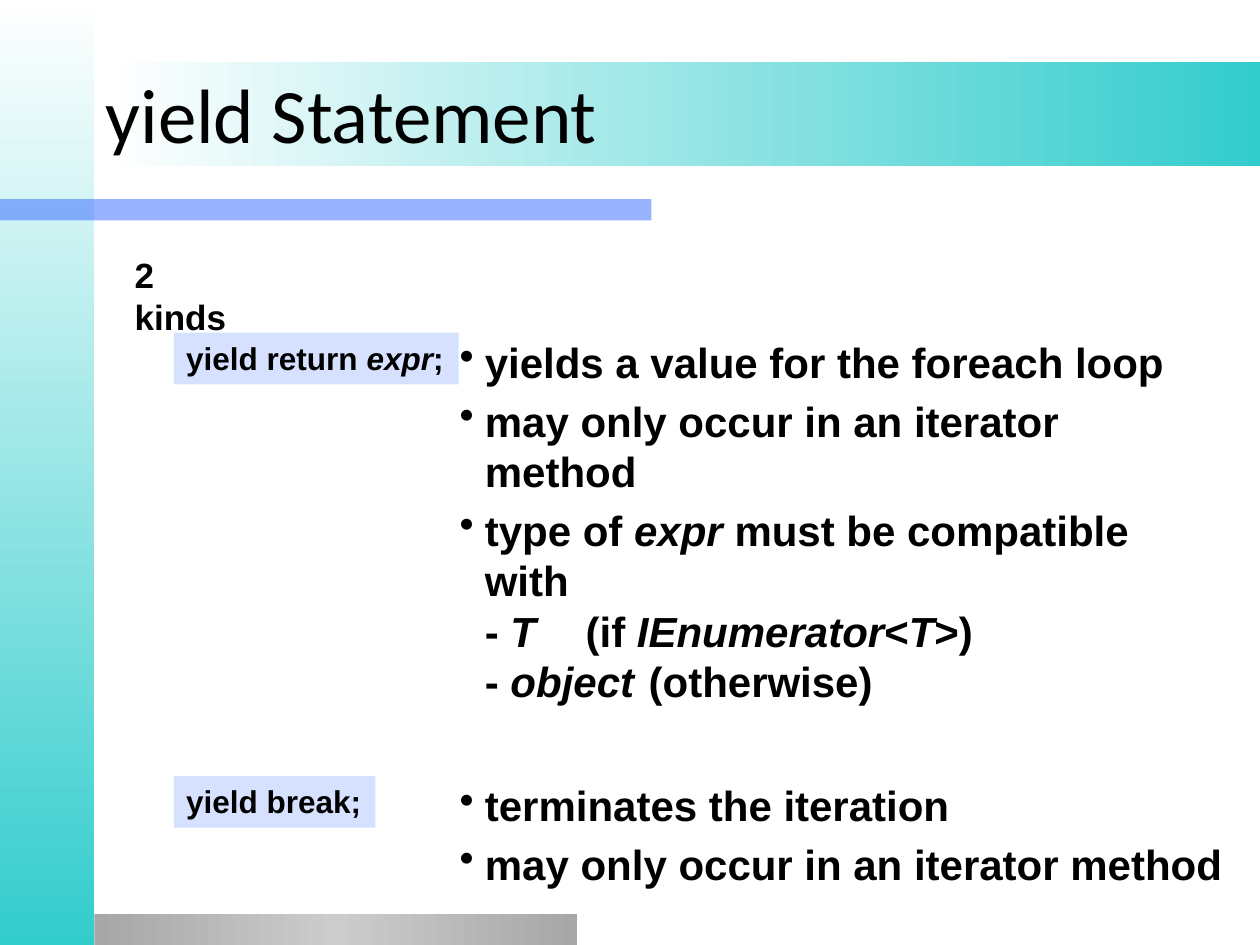
import pptx
import pptx.dml.color
import pptx.enum.shapes
import pptx.enum.text
import pptx.oxml
import pptx.oxml.ns
import pptx.util
from lxml import etree

Inches = pptx.util.Inches
CODE_LEFT = 1.38
NOTES_LEFT = 3.55
AQUA_FADE = [(0, "FFFFFF"), (100, "33CCCC")]
GREY_SHEEN = [(0, "A7A7A7"), (50, "CCCCCC"), (100, "A7A7A7")]


def rgb(color):
    return pptx.dml.color.RGBColor.from_string(color)


def add_bar(slide, left, top, width, height, color=None):
    bar = slide.shapes.add_shape(
        pptx.enum.shapes.MSO_SHAPE.RECTANGLE,
        Inches(left), Inches(top), Inches(width), Inches(height))
    bar.shadow.inherit = False
    bar.line.fill.background()
    if color:
        bar.fill.solid()
        bar.fill.fore_color.rgb = rgb(color)
    return bar


def set_gradient(bar, stops, angle):
    """Fill with (percent, colour) stops, running clockwise from left to right."""
    stop_xml = "".join(
        f'<a:gs pos="{percent * 1000}"><a:srgbClr val="{color}"/></a:gs>'
        for percent, color in stops)
    gradient = pptx.oxml.parse_xml(
        f'<a:gradFill {pptx.oxml.ns.nsdecls("a")} rotWithShape="1">'
        f'<a:gsLst>{stop_xml}</a:gsLst>'
        f'<a:lin ang="{angle * 60000}" scaled="0"/></a:gradFill>')
    bar._element.spPr.find(pptx.oxml.ns.qn("a:prstGeom")).addnext(gradient)


def set_opacity(bar, percent):
    color = bar._element.spPr.find(".//" + pptx.oxml.ns.qn("a:srgbClr"))
    etree.SubElement(color, pptx.oxml.ns.qn("a:alpha"), val=str(percent * 1000))


def add_bullet(paragraph):
    properties = paragraph._p.get_or_add_pPr()
    properties.set("marL", str(Inches(0.2)))
    properties.set("indent", str(-Inches(0.2)))
    etree.SubElement(properties, pptx.oxml.ns.qn("a:buChar"), char="•")


def write_text(shape, *paragraphs, size, font="Arial", bold=True, bullets=False,
               wrap=True, anchor="TOP"):
    """Write paragraphs in which *asterisks* mark italics and newlines break lines."""
    frame = shape.text_frame
    frame.word_wrap = wrap
    frame.vertical_anchor = pptx.enum.text.MSO_ANCHOR[anchor]
    for number, content in enumerate(paragraphs):
        paragraph = frame.paragraphs[0] if number == 0 else frame.add_paragraph()
        paragraph.alignment = pptx.enum.text.PP_ALIGN.LEFT
        if number:
            paragraph.space_before = pptx.util.Pt(size * 0.2)
        if bullets:
            add_bullet(paragraph)
        paragraph.font.size = pptx.util.Pt(size)
        for part, span in enumerate(content.split("*")):
            for line, words in enumerate(span.split("\n")):
                if line:
                    paragraph.add_line_break()
                if not words:
                    continue
                run = paragraph.add_run()
                run.text = words
                run.font.name = font
                run.font.size = pptx.util.Pt(size)
                run.font.bold = bold
                run.font.italic = part % 2 == 1
                run.font.color.rgb = rgb("000000")


def add_text(slide, left, top, width, height, *paragraphs, **text_format):
    box = slide.shapes.add_textbox(
        Inches(left), Inches(top), Inches(width), Inches(height))
    write_text(box, *paragraphs, **text_format)


def add_code(slide, top, width, code):
    label = add_bar(slide, CODE_LEFT, top, width, 0.41, "D6E0FF")
    write_text(label, code, size=18, wrap=False)


def add_backdrop(slide):
    set_gradient(add_bar(slide, 0, 0, 0.75, 7.5), AQUA_FADE, 90)
    set_opacity(add_bar(slide, 0, 1.58, 5.17, 0.17, "3366FF"), 50)
    set_gradient(add_bar(slide, 0.75, 7.25, 3.83, 0.25), GREY_SHEEN, 0)
    set_gradient(add_bar(slide, 0.84, 0.49, 9.16, 0.83), AQUA_FADE, 0)


def main():
    deck = pptx.Presentation()
    deck.slide_width, deck.slide_height = Inches(10), Inches(7.5)
    slide = deck.slides.add_slide(deck.slide_layouts[6])

    add_backdrop(slide)
    add_text(slide, 0.74, 0.27, 8.5, 1.25, "yield Statement",
             size=44, font="Calibri", bold=False, anchor="MIDDLE")
    add_text(slide, 0.97, 1.96, 1.05, 0.43, "2 kinds", size=20)

    add_code(slide, 2.64, 2.26, "yield return *expr*;")
    add_text(slide, NOTES_LEFT, 2.62, 6.17, 3.09,
             "yields a value for the foreach loop",
             "may only occur in an iterator method",
             "type of *expr* must be compatible with\n"
             "- *T* \t(if *IEnumerator*<*T*>)\n"
             "- *object* \t(otherwise)",
             size=24, bullets=True)

    add_code(slide, 6.16, 1.6, "yield break;")
    add_text(slide, NOTES_LEFT, 6.14, 6.31, 0.99,
             "terminates the iteration",
             "may only occur in an iterator method",
             size=24, bullets=True, wrap=False)

    deck.save("out.pptx")


if __name__ == "__main__":
    main()
